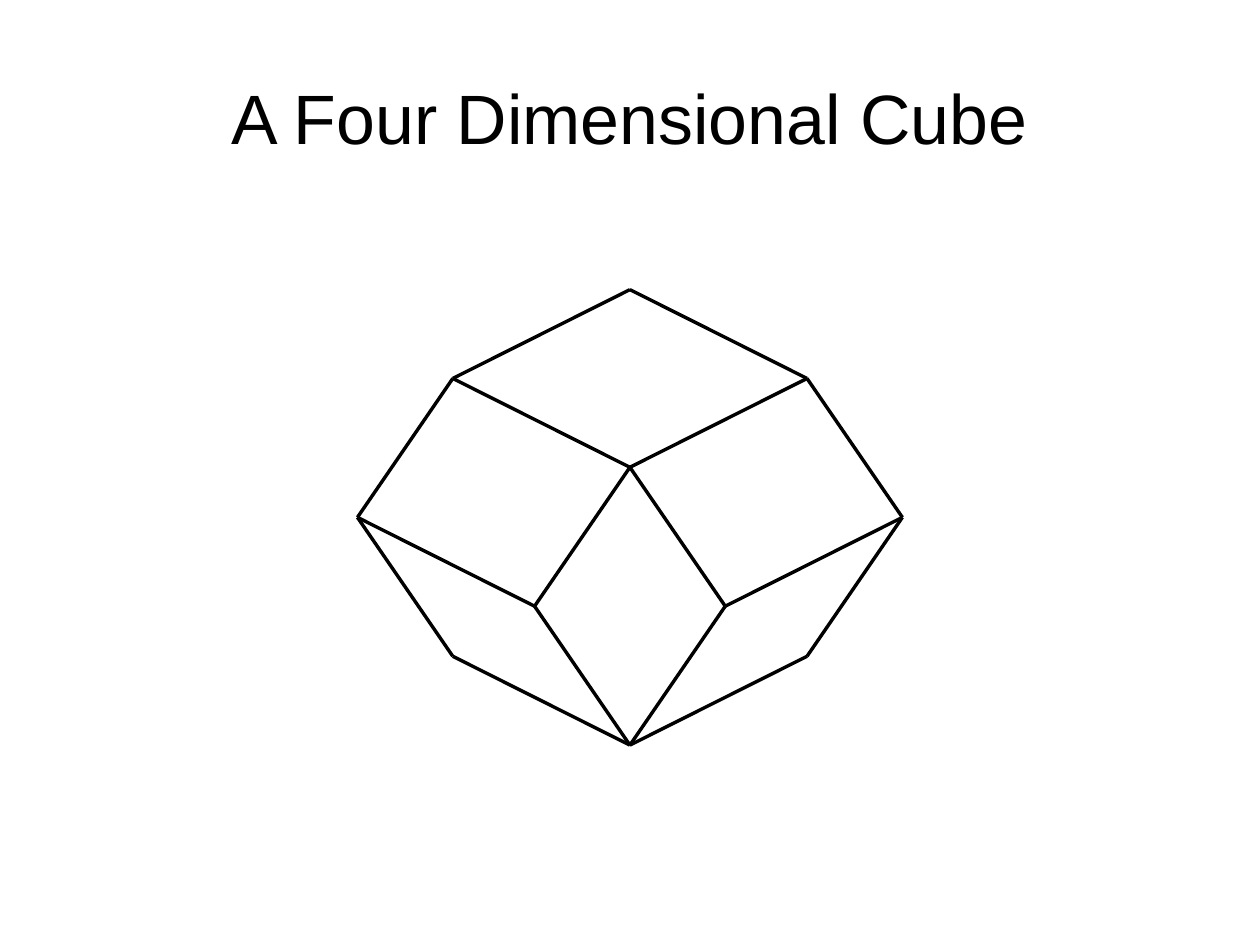
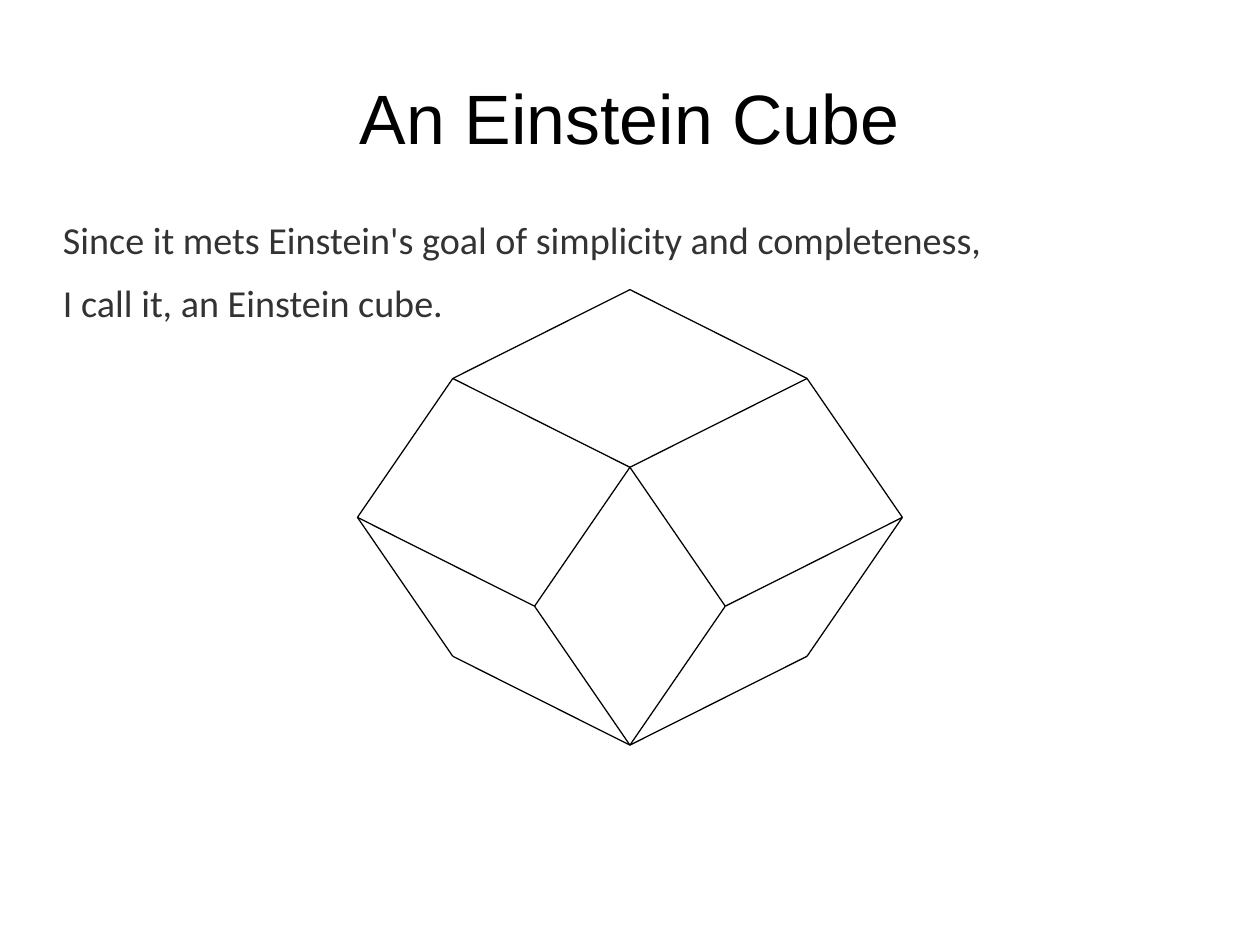
import pptx
import pptx.dml.color
import pptx.enum.shapes
import pptx.enum.text
import pptx.oxml.ns
import pptx.util
import lxml.etree

# Slide size in centimetres
WIDE, HIGH = 28, 21
INK, GREY = "000000", "333333"

# Boxes: left, top, width, height in percent of the slide
HEAD = (5, 4, 90, 16.67)
BODY = (5, 23.4, 90, 66)
CUBE = (28.37, 30.65, 43.25, 48.2)


def color(code):
    return pptx.dml.color.RGBColor.from_string(code)


def place(box):
    """Turn a percent box into centimetres."""
    x, y, w, h = box
    return x * WIDE / 100, y * HIGH / 100, w * WIDE / 100, h * HIGH / 100


def add_text(slide, box, lines, font, size, ink):
    area = slide.shapes.add_textbox(*map(pptx.util.Cm, place(box)))
    frame = area.text_frame
    frame.word_wrap = True
    frame.margin_left = frame.margin_right = 0
    frame.margin_top = frame.margin_bottom = 0
    frame.text = "\n".join(lines)
    for para in frame.paragraphs:
        para.font.name = font
        para.font.size = pptx.util.Pt(size)
        para.font.color.rgb = color(ink)
    return frame


def add_title(slide, text):
    frame = add_text(slide, HEAD, [text], "Arial", 44, INK)
    frame.vertical_anchor = pptx.enum.text.MSO_ANCHOR.MIDDLE
    frame.paragraphs[0].alignment = pptx.enum.text.PP_ALIGN.CENTER


def add_body(slide, lines):
    frame = add_text(slide, BODY, lines, "Calibri", 24, GREY)
    for para in frame.paragraphs:
        para.line_spacing = 0.9
        para.space_after = pptx.util.Pt(14.1)


def add_edge(shapes, start, end, weight):
    ends = [pptx.util.Cm(v) for v in (*start, *end)]
    edge = shapes.add_connector(
        pptx.enum.shapes.MSO_CONNECTOR.STRAIGHT, *ends)
    edge.line.color.rgb = color(INK)
    edge.line.width = pptx.util.Pt(weight)
    lxml.etree.SubElement(edge._element.spPr,
                          pptx.oxml.ns.qn("a:effectLst"))


def add_cube(shapes, box, weight):
    """Draw one half of the edges and its mirror image.

    Each edge runs along a flat or a steep step; two of each span the height.
    """
    x, y, w, h = place(box)
    flat, steep = (0.65, 0.39 / 2), (0.35, 0.61 / 2)
    top, mid, base = (0, 0), (0, 2 * flat[1]), (0, 1)
    side = (1, flat[1] + steep[1])
    inner = (steep[0], mid[1] + steep[1])
    low = (flat[0], 1 - flat[1])
    edges = [(low, base), (inner, base), (side, inner), (side, low),
             (mid, inner), (flat, side), (flat, mid), (top, flat)]
    for sign in (-1, 1):
        for edge in edges:
            start, end = [(x + w / 2 * (1 + sign * across), y + h * down)
                          for across, down in edge]
            add_edge(shapes, start, end, weight)


def main():
    deck = pptx.Presentation()
    deck.slide_width = pptx.util.Cm(WIDE)
    deck.slide_height = pptx.util.Cm(HIGH)
    blank = deck.slide_layouts[6]

    slide = deck.slides.add_slide(blank)
    add_cube(slide.shapes, CUBE, 2.15)
    add_title(slide, "A Four Dimensional Cube")

    slide = deck.slides.add_slide(blank)
    add_cube(slide.shapes.add_group_shape().shapes, CUBE, 0.79)
    add_title(slide, "An Einstein Cube")
    add_body(slide, [
        "Since it mets Einstein's goal of simplicity and completeness,",
        "I call it, an Einstein cube.",
    ])

    deck.save("out.pptx")


if __name__ == "__main__":
    main()
